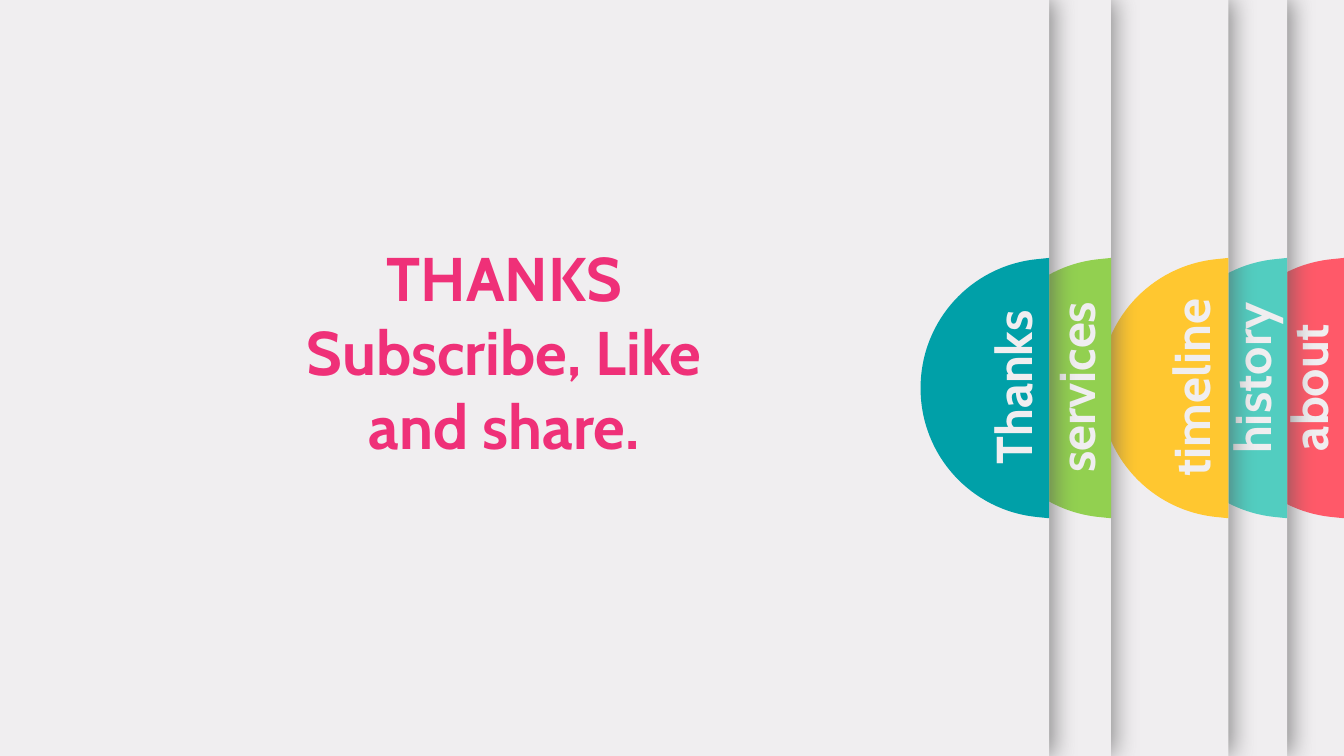
import lxml.etree
import pptx
import pptx.dml.color
import pptx.enum.shapes
import pptx.enum.text
import pptx.oxml.ns
import pptx.util

Cm = pptx.util.Cm
Pt = pptx.util.Pt
RGBColor = pptx.dml.color.RGBColor
qn = pptx.oxml.ns.qn

# Content
PAPER = RGBColor(0xF0, 0xEE, 0xF0)
PINK = RGBColor(0xEF, 0x30, 0x78)
CORAL = RGBColor(0xFF, 0x59, 0x69)
TURQUOISE = RGBColor(0x52, 0xCD, 0xC0)
YELLOW = RGBColor(0xFF, 0xC7, 0x30)
GREEN = RGBColor(0x92, 0xD0, 0x50)
TEAL = RGBColor(0x00, 0xA0, 0xA8)
SHADOW = RGBColor(0x59, 0x59, 0x59)

CLOSING_LINES = ["THANKS", "Subscribe, Like and share."]

# Label, tab colour, panel left and right edge, label left and top (cm), back to front
PANELS = [
    ("about", CORAL, -0.81, 33.87, 30.21, 8.86),
    ("history", TURQUOISE, 0.64, 32.44, 28.77, 8.63),
    ("timeline", YELLOW, 3.28, 30.96, 27.25, 8.86),
    ("services", GREEN, -4.95, 28, 24.34, 8.86),
    ("Thanks", TEAL, -5.03, 26.44, 22.76, 8.86),
]

# Sizes in cm
SLIDE_WIDTH, SLIDE_HEIGHT = 33.87, 19.05
LABEL_WIDTH, LABEL_HEIGHT = 5.54, 1.8
TAB_CENTRE = 9.78

# Tab outline: distance left of the panel edge, distance below the tab centre.
# After the two straight corners come two curves of three points each.
TAB_OUTLINE = [
    (0, -3.28), (0, 3.28), (0.29, 3.25),
    (1.96, 3.09), (3.24, 1.7), (3.24, 0),
    (3.24, -1.7), (1.96, -3.09), (0.29, -3.25),
]
FIRST_CURVE = 2

LABEL_FONT = {"name": "Cabin", "size": Pt(36), "bold": True}
CLOSING_FONT = {"name": "Cabin", "size": Pt(44), "bold": True}


def fill_plain(shape, colour):
    shape.fill.solid()
    shape.fill.fore_color.rgb = colour
    shape.line.fill.background()
    shape.shadow.inherit = False


def add_side_shadow(shape):
    effects = shape._element.spPr.find(qn("a:effectLst"))
    shadow = lxml.etree.SubElement(
        effects, qn("a:outerShdw"),
        blurRad=str(Pt(17)), dist=str(Pt(3)), dir="0", rotWithShape="0")
    colour = lxml.etree.SubElement(shadow, qn("a:srgbClr"), val=str(SHADOW))
    lxml.etree.SubElement(colour, qn("a:alpha"), val="65000")


def add_tab(shapes, right, colour):
    points = [(Cm(right - x), Cm(TAB_CENTRE + y)) for x, y in TAB_OUTLINE]
    builder = shapes.build_freeform(*points[0])
    builder.add_line_segments(points[1:], close=True)
    tab = builder.convert_to_shape()
    fill_plain(tab, colour)

    # Turn each three points of the rounded side into one curve
    lines = list(tab._element.iter(qn("a:lnTo")))[FIRST_CURVE:]
    for start in range(0, len(lines), 3):
        curve = lxml.etree.Element(qn("a:cubicBezTo"))
        lines[start].addprevious(curve)
        for line in lines[start:start + 3]:
            curve.append(line[0])
            line.getparent().remove(line)


def write_lines(shape, lines, font, colour):
    frame = shape.text_frame
    frame.word_wrap = True
    frame.auto_size = pptx.enum.text.MSO_AUTO_SIZE.SHAPE_TO_FIT_TEXT
    frame.vertical_anchor = pptx.enum.text.MSO_ANCHOR.TOP
    for index, line in enumerate(lines):
        paragraph = frame.add_paragraph() if index else frame.paragraphs[0]
        paragraph.alignment = pptx.enum.text.PP_ALIGN.CENTER
        run = paragraph.add_run()
        run.text = line
        for attribute, value in font.items():
            setattr(run.font, attribute, value)
        run.font.color.rgb = colour


def add_panel(slide, label, colour, left, right, label_left, label_top):
    shapes = slide.shapes.add_group_shape().shapes

    # Sheet with a shadow along its right edge
    sheet = shapes.add_shape(
        pptx.enum.shapes.MSO_SHAPE.RECTANGLE,
        Cm(left), Cm(0), Cm(right - left), Cm(SLIDE_HEIGHT))
    fill_plain(sheet, PAPER)
    add_side_shadow(sheet)

    # Half-round tab with its upright label
    add_tab(shapes, right, colour)
    text_box = shapes.add_textbox(
        Cm(label_left), Cm(label_top), Cm(LABEL_WIDTH), Cm(LABEL_HEIGHT))
    text_box.rotation = 270
    write_lines(text_box, [label], LABEL_FONT, PAPER)


def main():
    presentation = pptx.Presentation()
    presentation.slide_width = Cm(SLIDE_WIDTH)
    presentation.slide_height = Cm(SLIDE_HEIGHT)
    slide = presentation.slides.add_slide(presentation.slide_layouts[5])
    slide.background.fill.solid()
    slide.background.fill.fore_color.rgb = PAPER

    for panel in PANELS:
        add_panel(slide, *panel)

    # Closing message, brought in front of the panels
    title = slide.shapes.title
    title.left, title.top = Cm(6.65), Cm(5.92)
    title.width, title.height = Cm(12.12), Cm(5.89)
    write_lines(title, CLOSING_LINES, CLOSING_FONT, PINK)
    title._element.getparent().append(title._element)

    presentation.save("out.pptx")


if __name__ == "__main__":
    main()
